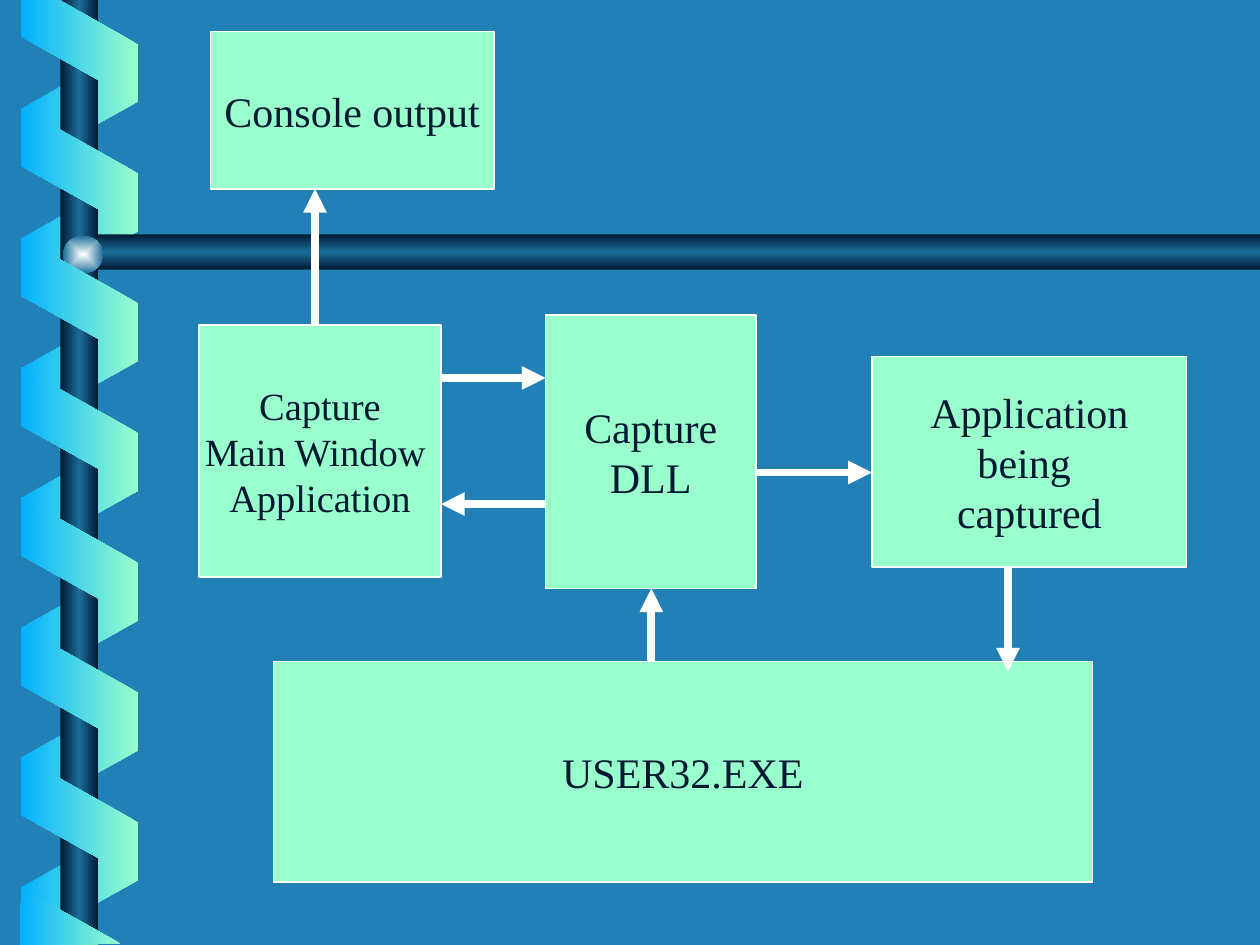
from lxml import etree
from pptx import Presentation
from pptx import util as u
from pptx.dml.color import RGBColor
from pptx.enum import shapes, text
from pptx.oxml import parse_xml
from pptx.oxml.ns import nsdecls, qn

COLORS = {
    "background": "2181B7",
    "dark": "001932",
    "steel": "1C6D9A",
    "glow": "FEFFFF",
    "blue": "01B0FF",
    "mint": "99FFCC",
    "white": "FFFFFF",
}
FONT = "Times New Roman"
ACROSS = '<a:lin ang="10800000" scaled="0"/>'
DOWN = '<a:lin ang="5400000" scaled="0"/>'
CENTRE = ('<a:path path="rect">'
          '<a:fillToRect l="50000" t="50000" r="50000" b="50000"/></a:path>')
POLE = ["dark", "steel", "dark"]
RIBBON = ["mint", "blue"]
RIBBON_PITCH = 1.03


def color(name):
    return RGBColor.from_string(COLORS[name])


class Diagram:
    """Holds the style and the current slide."""

    def __init__(self, page):
        self.page = page
        page.background.fill.solid()
        page.background.fill.fore_color.rgb = color("background")

    def gradient(self, shape, names, direction):
        """Fill a shape with evenly spaced colours that do not turn with it."""
        shape.shadow.inherit = False
        shape.line.fill.background()
        shape.fill.background()
        last = len(names) - 1
        stops = "".join(
            f'<a:gs pos="{100000 * i // last}"><a:srgbClr val="{COLORS[name]}"/></a:gs>'
            for i, name in enumerate(names))
        properties = shape._element.spPr
        properties.replace(properties.find(qn("a:noFill")), parse_xml(
            f'<a:gradFill {nsdecls("a")} rotWithShape="0">'
            f"<a:gsLst>{stops}</a:gsLst>{direction}</a:gradFill>"))

    def preset(self, kind, left, top, width, height):
        return self.page.shapes.add_shape(
            kind, u.Inches(left), u.Inches(top), u.Inches(width), u.Inches(height))

    def outline(self, points, names, direction):
        corners = [(u.Inches(x), u.Inches(y)) for x, y in points]
        builder = self.page.shapes.build_freeform(*corners[0], scale=1.0)
        builder.add_line_segments(corners[1:], close=True)
        self.gradient(builder.convert_to_shape(), names, direction)

    def ribbon(self, top, behind):
        """Draw one slanted band of the spiral, behind or in front of the pole."""
        band = self.preset(shapes.MSO_SHAPE.PARALLELOGRAM, 0.14, top, 0.98, 0.93)
        band.adjustments[0] = 0.56
        band.rotation = 90 if behind else 270
        if behind:
            band._element.spPr.xfrm.set("flipH", "1")
        self.gradient(band, RIBBON[::-1] if behind else RIBBON, ACROSS)

    def box(self, left, top, width, height, lines, size=24):
        box = self.preset(shapes.MSO_SHAPE.RECTANGLE, left, top, width, height)
        box.shadow.inherit = False
        box.fill.solid()
        box.fill.fore_color.rgb = color("mint")
        box.line.color.rgb = color("white")
        box.line.width = u.Pt(0.75)
        frame = box.text_frame
        frame.word_wrap = False
        frame.vertical_anchor = text.MSO_ANCHOR.MIDDLE
        frame.text = "\n".join(lines)
        for para in frame.paragraphs:
            para.alignment = text.PP_ALIGN.CENTER
            para.font.name = FONT
            para.font.size = u.Pt(size)
            para.font.color.rgb = color("dark")

    def arrow(self, start, end):
        line = self.page.shapes.add_connector(
            shapes.MSO_CONNECTOR.STRAIGHT, *map(u.Inches, start + end))
        line.line.color.rgb = color("white")
        line.line.width = u.Pt(4.5)
        etree.SubElement(line.line._get_or_add_ln(), qn("a:tailEnd"), type="triangle")
        etree.SubElement(line._element.spPr, qn("a:effectLst"))


def draw_spiral_binding(diagram):
    for i in range(7):
        diagram.ribbon(0.37 + RIBBON_PITCH * i, behind=True)
    pole = diagram.preset(shapes.MSO_SHAPE.RECTANGLE, 0.48, 0, 0.3, 7.5)
    diagram.gradient(pole, POLE, ACROSS)
    diagram.outline([(10, 1.86), (0.76, 1.86), (0.6, 2), (0.76, 2.14), (10, 2.14)],
                    POLE, DOWN)
    ball = diagram.preset(shapes.MSO_SHAPE.OVAL, 0.5, 1.87, 0.32, 0.3)
    diagram.gradient(ball, ["glow", "steel"], CENTRE)
    for i in range(6):
        diagram.ribbon(0.88 + RIBBON_PITCH * i, behind=False)
    diagram.outline([(0.17, 0), (0.17, 0.29), (1.09, 0.81), (1.09, 0.35), (0.47, 0)],
                    RIBBON, ACROSS)
    diagram.outline([(0.96, 7.49), (0.17, 7.05), (0.16, 7.5)], RIBBON, ACROSS)


def main():
    deck = Presentation()
    deck.slide_width, deck.slide_height = u.Inches(10), u.Inches(7.5)
    diagram = Diagram(deck.slides.add_slide(deck.slide_layouts[6]))
    draw_spiral_binding(diagram)

    diagram.box(2.17, 5.25, 6.5, 1.75, ["USER32.EXE"])
    diagram.box(6.92, 2.83, 2.5, 1.67, ["Application", "being ", "captured"])
    diagram.box(1.58, 2.58, 1.92, 2, ["Capture", "Main Window ", "Application"], size=22)
    diagram.box(4.33, 2.5, 1.67, 2.17, ["Capture", "DLL"])
    diagram.box(1.67, 0.25, 2.25, 1.25, ["Console output"])

    for start, end in [
        ((3.5, 3), (4.33, 3)),
        ((4.33, 4), (3.5, 4)),
        ((5.17, 5.25), (5.17, 4.67)),
        ((6, 3.75), (6.92, 3.75)),
        ((2.5, 2.58), (2.5, 1.5)),
        ((8, 4.5), (8, 5.33)),
    ]:
        diagram.arrow(start, end)
    deck.save("out.pptx")


if __name__ == "__main__":
    main()
